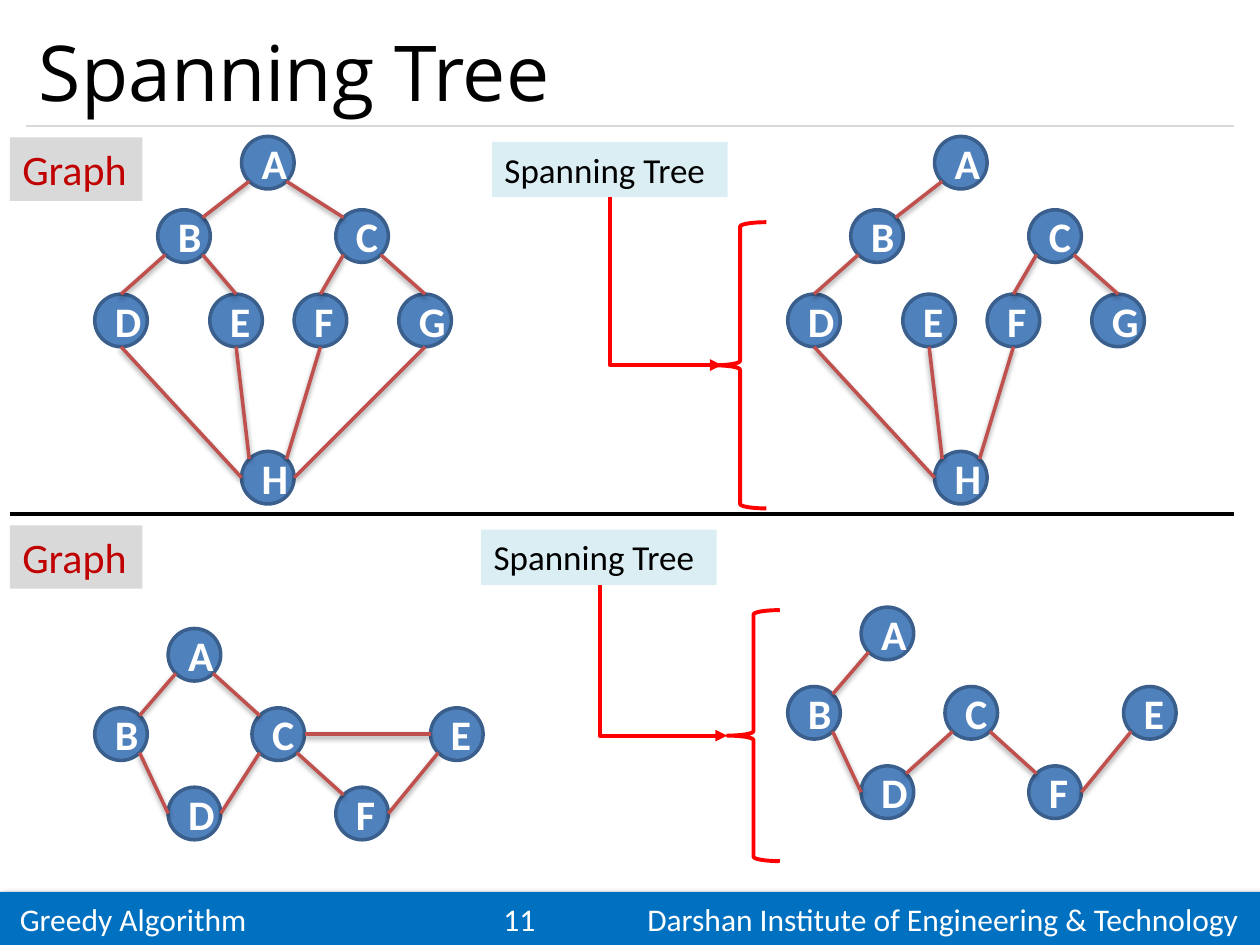
import pptx
import pptx.dml.color
import pptx.enum.shapes
import pptx.enum.text
import pptx.oxml
import pptx.oxml.ns
import pptx.util
from dataclasses import dataclass
from lxml import etree

Cm = pptx.util.Cm
Pt = pptx.util.Pt
qn = pptx.oxml.ns.qn
SHAPE = pptx.enum.shapes.MSO_SHAPE
CONNECTOR = pptx.enum.shapes.MSO_CONNECTOR
ALIGN = pptx.enum.text.PP_ALIGN
ANCHOR = pptx.enum.text.MSO_ANCHOR


@dataclass(frozen=True)
class Theme:
    heading_font: str = "Open Sans"
    body_font: str = "Calibri"
    title_size: int = 44
    large_size: int = 24
    label_size: int = 20
    footer_size: int = 18
    black: str = "000000"
    white: str = "FFFFFF"
    footer: str = "0070C0"
    rule: str = "D9D9D9"
    node: str = "4F81BD"
    node_line: str = "3A5F8C"
    edge: str = "C0504D"
    graph_text: str = "C00000"
    tree_fill: str = "DBEEF4"
    pointer: str = "FF0000"
    # Shadows: blur and distance in points, angle in degrees, opacity in percent
    edge_shadow: tuple = (3.1, 1.6, 90, 38)
    footer_shadow: tuple = (4, 3, 45, 40)


NODE_SIZE = 1.06
# Place of each compass point on a node, as a share of its width and height
SITES = {"n": (0.5, 0), "s": (0.5, 1), "w": (0, 0.5), "e": (1, 0.5),
         "nw": (0.146, 0.146), "ne": (0.854, 0.146),
         "sw": (0.146, 0.854), "se": (0.854, 0.854)}


class SlideBuilder:
    def __init__(self, slide, theme):
        self.slide = slide
        self.theme = theme

    def color(self, value):
        return pptx.dml.color.RGBColor.from_string(value)

    def format_text(self, frame, size, color, font=None, bold=False, align=ALIGN.LEFT):
        for para in frame.paragraphs:
            para.alignment = align
            for span in para.runs:
                span.font.name = font or self.theme.body_font
                span.font.size = Pt(size)
                span.font.bold = bold
                span.font.color.rgb = self.color(color)

    def add_shadow(self, properties, shadow):
        effects = properties.find(qn("a:effectLst"))
        if effects is None:
            effects = etree.SubElement(properties, qn("a:effectLst"))
        if shadow:
            blur, distance, angle, opacity = shadow
            outer = etree.SubElement(
                effects, qn("a:outerShdw"), blurRad=str(int(Pt(blur))),
                dist=str(int(Pt(distance))), dir=str(angle * 60000), rotWithShape="0")
            tint = etree.SubElement(outer, qn("a:srgbClr"), val=self.theme.black)
            etree.SubElement(tint, qn("a:alpha"), val=str(opacity * 1000))

    def title(self, text, left, top, width, height):
        box = self.slide.shapes.title
        box.left, box.top, box.width, box.height = map(Cm, (left, top, width, height))
        box.text_frame.text = text
        box.text_frame.vertical_anchor = ANCHOR.MIDDLE
        self.format_text(box.text_frame, self.theme.title_size, self.theme.black,
                         self.theme.heading_font)

    def shape(self, kind, left, top, width, height, fill=None, line=None, weight=2):
        shape = self.slide.shapes.add_shape(kind, *map(Cm, (left, top, width, height)))
        shape.shadow.inherit = False
        if fill:
            shape.fill.solid()
            shape.fill.fore_color.rgb = self.color(fill)
        else:
            shape.fill.background()
        if line:
            shape.line.color.rgb = self.color(line)
            shape.line.width = Pt(weight)
        else:
            shape.line.fill.background()
        return shape

    def line(self, start, end, color, weight, shadow=None, kind=CONNECTOR.STRAIGHT):
        line = self.slide.shapes.add_connector(kind, *map(Cm, (*start, *end)))
        line.line.color.rgb = self.color(color)
        line.line.width = Pt(weight)
        self.add_shadow(line._element.spPr, shadow)
        return line

    def footer(self, left_text, number, right_text):
        bar = self.shape(SHAPE.RECTANGLE, 0, 17.98, 25.4, 1.07, self.theme.footer)
        self.add_shadow(bar._element.spPr, self.theme.footer_shadow)
        frame = bar.text_frame
        frame.margin_left, frame.margin_right = Cm(0.4), Cm(0.25)
        frame.text = f"{left_text}\t{number}\t{right_text}"
        stops = etree.SubElement(frame.paragraphs[0]._p.get_or_add_pPr(), qn("a:tabLst"))
        for position, side in ((9.75, "l"), (24.57, "r")):
            etree.SubElement(stops, qn("a:tab"), pos=str(int(Cm(position))), algn=side)
        self.format_text(frame, self.theme.footer_size, self.theme.white)

    def label(self, text, left, top, width, height, fill, size, color):
        box = self.slide.shapes.add_textbox(*map(Cm, (left, top, width, height)))
        box.fill.solid()
        box.fill.fore_color.rgb = self.color(fill)
        box.text_frame.word_wrap = True
        box.text_frame.text = text
        self.format_text(box.text_frame, size, color)

    def graph(self, nodes, edges, shift=(0, 0)):
        places = {name: (x + shift[0], y + shift[1]) for name, (x, y) in nodes.items()}
        for name, (left, top) in places.items():
            node = self.shape(SHAPE.OVAL, left, top, NODE_SIZE, NODE_SIZE,
                              self.theme.node, self.theme.node_line)
            node.text_frame.text = name
            self.format_text(node.text_frame, self.theme.large_size, self.theme.white,
                             bold=True, align=ALIGN.CENTER)

        def site(end):
            name, side = end.split(".")
            return [place + NODE_SIZE * share
                    for place, share in zip(places[name], SITES[side])]

        for edge in edges:
            start, end = map(site, edge.split())
            self.line(start, end, self.theme.edge, 2, self.theme.edge_shadow)

    def brace(self, left, top, width, height):
        self.shape(SHAPE.LEFT_BRACE, left, top, width, height,
                   line=self.theme.pointer, weight=2.25)

    def down_right_arrow(self, start, end):
        # A quarter turn of a flipped elbow runs down first, then right
        run, drop = end[0] - start[0], end[1] - start[1]
        middle_x, middle_y = (start[0] + end[0]) / 2, (start[1] + end[1]) / 2
        arrow = self.line((middle_x + drop / 2, middle_y - run / 2),
                          (middle_x - drop / 2, middle_y + run / 2),
                          self.theme.pointer, 2.25, kind=CONNECTOR.ELBOW)
        properties = arrow._element.spPr
        properties.find(qn("a:xfrm")).set("rot", str(270 * 60000))
        properties.find(qn("a:prstGeom")).set("prst", "bentConnector2")
        etree.SubElement(properties.find(qn("a:ln")), qn("a:tailEnd"), type="triangle")


def main():
    deck = pptx.Presentation()
    deck.slide_width, deck.slide_height = Cm(25.4), Cm(19.05)
    theme = Theme()
    page = SlideBuilder(deck.slides.add_slide(deck.slide_layouts[5]), theme)

    # Frame of the page
    page.footer("Greedy Algorithm", "11", "Darshan Institute of Engineering & Technology")
    page.line((0.53, 2.54), (24.87, 2.54), theme.rule, 0.75)
    page.title("Spanning Tree", 0.53, 0.3, 24.34, 2.24)
    page.line((0.2, 10.37), (24.87, 10.37), theme.black, 2.25)

    # Upper graph and its spanning tree
    upper_nodes = {"A": (4.87, 2.75), "B": (3.18, 4.23), "C": (6.77, 4.23),
                   "D": (1.91, 5.93), "E": (4.23, 5.93), "F": (5.93, 5.93),
                   "G": (8.04, 5.93), "H": (4.87, 9.1)}
    upper_tree = ["A.sw B.ne", "B.sw D.n", "C.sw F.n", "C.se G.n",
                  "D.s H.w", "E.s H.nw", "F.s H.ne"]
    page.graph(upper_nodes, upper_tree + ["A.se C.nw", "B.se E.n", "G.s H.e"])
    page.graph(upper_nodes, upper_tree, (13.97, 0))

    # Lower graph and its spanning tree
    lower_nodes = {"A": (3.39, 12.67), "B": (1.91, 14.27), "C": (5.08, 14.27),
                   "D": (3.39, 15.87), "E": (8.68, 14.27), "F": (6.77, 15.87)}
    lower_shared = ["A.sw B.ne", "B.se D.w", "C.se F.nw", "E.sw F.e"]
    page.graph(lower_nodes, lower_shared + ["A.se C.nw", "D.e C.sw", "C.e E.w"])
    page.graph(lower_nodes, lower_shared + ["D.ne C.sw"], (13.97, -0.43))

    # Labels
    for graph_top, tree_left, tree_top in ((2.77, 9.92, 2.86), (10.59, 9.7, 10.68)):
        page.label("Graph", 0.2, graph_top, 2.67, 1.28, theme.rule,
                   theme.large_size, theme.graph_text)
        page.label("Spanning Tree", tree_left, tree_top, 4.75, 1.11, theme.tree_fill,
                   theme.label_size, theme.black)

    # Arrows from the labels to the braces
    page.down_right_arrow((12.3, 3.97), (14.55, 7.36))
    page.brace(14.39, 4.48, 1.06, 5.77)
    page.down_right_arrow((12.09, 11.79), (14.66, 14.83))
    page.brace(14.66, 12.3, 1.06, 5.06)

    deck.save("out.pptx")


if __name__ == "__main__":
    main()
